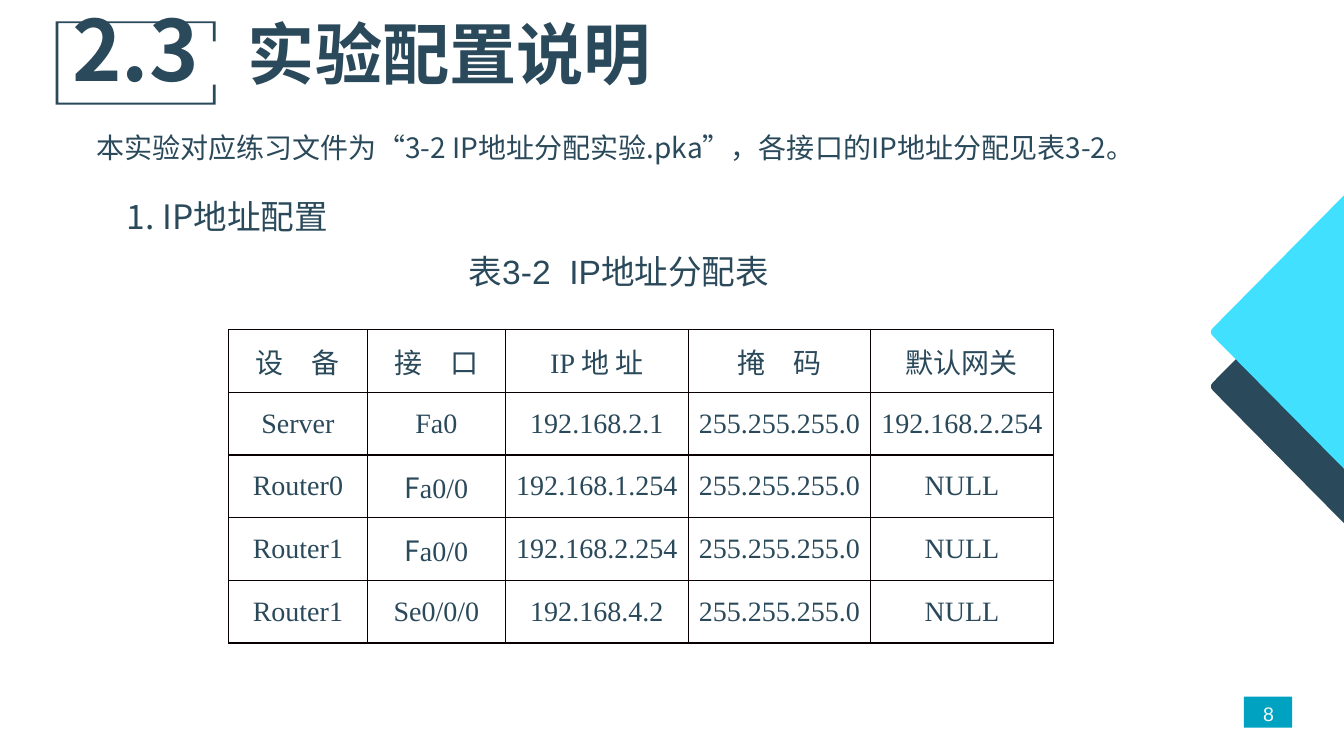
"""Build the slide on lab configuration with its IP address table."""
import pptx
import pptx.dml.color
import pptx.enum.text
import pptx.oxml
import pptx.oxml.ns
import pptx.util

Pt = pptx.util.Pt
ALIGN = pptx.enum.text.PP_ALIGN
COLORS = {"ink": "2A495A", "cyan": "41E0FF", "badge": "00A2C2",
          "number": "F8F8F8", "border": "080000"}
SANS, SERIF = "Noto Sans CJK SC", "Times New Roman"


def write(para, text, size=20, font=SANS, color="ink", bold=False, align=ALIGN.LEFT):
    para.alignment = align
    span = para.add_run()
    span.text = text
    span.font.size = Pt(size)
    span.font.name = font
    span.font.bold = bold
    span.font.color.rgb = pptx.dml.color.RGBColor.from_string(COLORS[color])
    east_asian = pptx.oxml.parse_xml(
        f'<a:ea {pptx.oxml.ns.nsdecls("a")} typeface="{SANS}"/>')
    span.font._element.find(pptx.oxml.ns.qn("a:latin")).addnext(east_asian)


def paint(shape, color):
    shape.shadow.inherit = False
    shape.fill.solid()
    shape.fill.fore_color.rgb = pptx.dml.color.RGBColor.from_string(COLORS[color])
    shape.line.fill.background()


deck = pptx.Presentation()
deck.slide_width, deck.slide_height = Pt(960), Pt(540)
page = deck.slides.add_slide(deck.slide_layouts[6])
shapes = page.shapes

badge = shapes.add_shape(pptx.enum.shapes.MSO_SHAPE.RECTANGLE,
                         Pt(888.5), Pt(497.5), Pt(34.5), Pt(22.3))
paint(badge, "badge")

outlines = []
for middle, color in ((276.1, "ink"), (237.2, "cyan")):
    upper = [(960, middle - 97.6), (866.5, middle - 3), (865.2, middle - 1.2)]
    lower = [(x, 2 * middle - y) for x, y in reversed(upper)]
    outlines.append((upper + lower, color))
frame_top = [(154, 29.5), (152, 29.5), (152, 16.6), (41.8, 16.6)]
frame_bottom = [(x, 90 - y) for x, y in reversed(frame_top)]
outlines.append(([(39.8, 15.2), (154, 15.2)] + frame_top + frame_bottom
                 + [(154, 74.8), (39.8, 74.8)], "ink"))
for points, color in outlines:
    corners = [(Pt(x), Pt(y)) for x, y in points]
    builder = shapes.build_freeform(*corners[0], scale=1)
    builder.add_line_segments(corners[1:], close=True)
    paint(builder.convert_to_shape(), color)

texts = [
    ("2.3", (30.2, 6.5, 133.2, 77), 0, 0, 0.9,
     dict(size=60, bold=True, align=ALIGN.CENTER)),
    ("实验配置说明", (177.1, 15.1, 513.4, 62), 0, 0, 0.9, dict(size=48, bold=True)),
    ("本实验对应练习文件为“3-2 IP地址分配实验.pka”，各接口的IP地址分配见表3-2。",
     (61.9, 92.2, 942.5, 33.1), 1, 0, 0.9, dict(size=20)),
    ("1. IP地址配置", (61.9, 139.7, 759.6, 95.8), 1, 21.6, 0.9, dict(size=24)),
    ("表3-2  IP地址分配表", (241.9, 178.6, 400.3, 38.2), 1, 0, 0.9,
     dict(size=24, font="Arial", align=ALIGN.CENTER)),
    ("8", (895, 497.5, 22.3, 23.8), 1, 0, 1.0,
     dict(size=14, font="Arial", color="number", align=ALIGN.CENTER)),
]
for text, place, inset, indent, spacing, style in texts:
    box = shapes.add_textbox(*map(Pt, place))
    frame = box.text_frame
    frame.word_wrap = text != "8"
    frame.margin_left = frame.margin_right = Pt(7.2 * inset)
    frame.margin_top = frame.margin_bottom = Pt(3.6 * inset)
    para = frame.paragraphs[0]
    para.line_spacing = spacing
    if indent:
        para._p.get_or_add_pPr().set("indent", str(Pt(indent)))
    write(para, text, **style)

rows = [
    ["设　备", "接　口", "IP 地 址", "掩　码", "默认网关"],
    ["Server", "Fa0", "192.168.2.1", "255.255.255.0", "192.168.2.254"],
    ["Router0", "Fa0/0", "192.168.1.254", "255.255.255.0", "NULL"],
    ["Router1", "Fa0/0", "192.168.2.254", "255.255.255.0", "NULL"],
    ["Router1", "Se0/0/0", "192.168.4.2", "255.255.255.0", "NULL"],
]
widths = [98.9, 98.9, 130.4, 130.4, 130.4]
table = shapes.add_table(len(rows), len(widths), Pt(163.4), Pt(235.4),
                         Pt(sum(widths)), Pt(224)).table
table.first_row = table.horz_banding = False
for column, width in zip(table.columns, widths):
    column.width = Pt(width)
for row, values in zip(table.rows, rows):
    row.height = Pt(44.8)
    for cell, value in zip(row.cells, values):
        cell.margin_left = cell.margin_right = cell.margin_top = cell.margin_bottom = 0
        cell.vertical_anchor = pptx.enum.text.MSO_ANCHOR.MIDDLE
        for side in ("lnL", "lnR", "lnT", "lnB"):
            cell._tc.get_or_add_tcPr().append(pptx.oxml.parse_xml(
                f'<a:{side} {pptx.oxml.ns.nsdecls("a")} w="{Pt(1)}"><a:solidFill>'
                f'<a:srgbClr val="{COLORS["border"]}"/></a:solidFill></a:{side}>'))
        cell.fill.background()
        para = cell.text_frame.paragraphs[0]
        if value == "Fa0/0":
            write(para, "F", align=ALIGN.CENTER)
            value = "a0/0"
        write(para, value, font=SERIF, align=ALIGN.CENTER)

deck.save("out.pptx")
